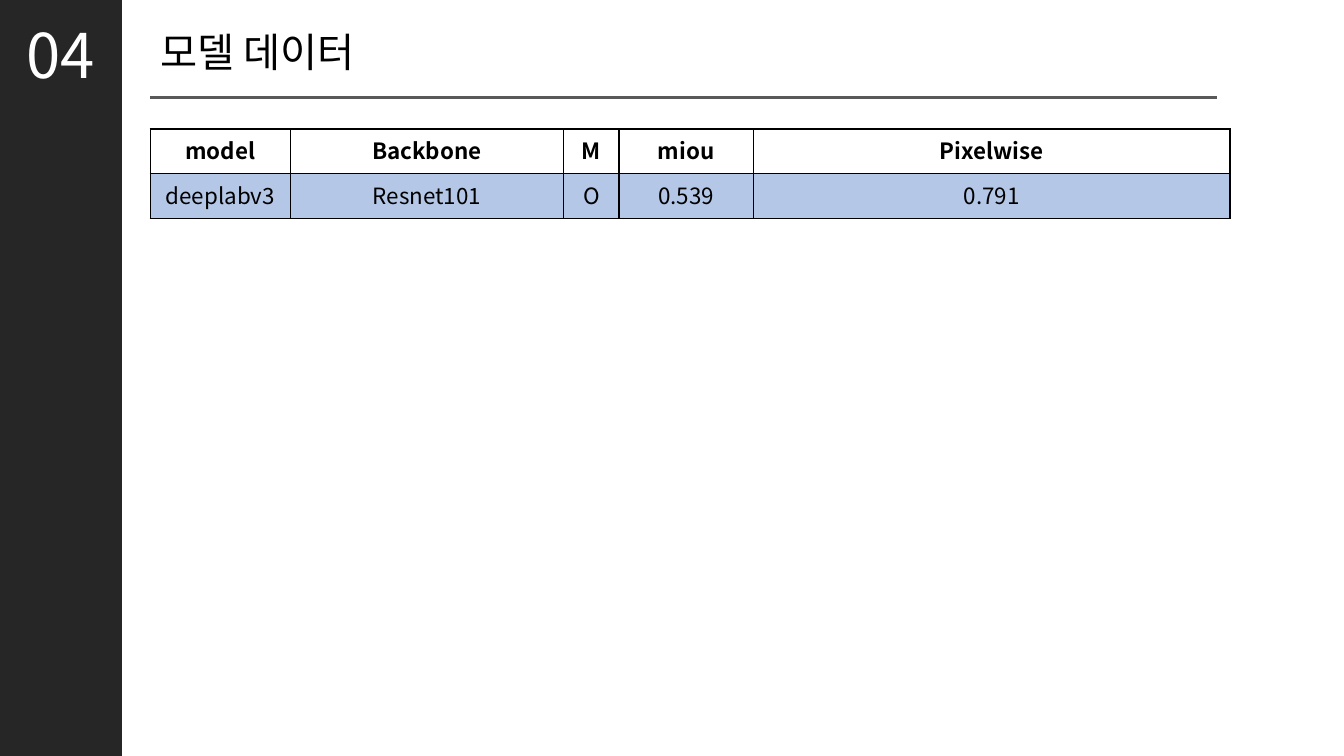
from dataclasses import dataclass
from lxml import etree
from pptx import Presentation, util as u
from pptx.dml.color import RGBColor
from pptx.enum import shapes, text
from pptx.oxml import ns


@dataclass(frozen=True)
class Theme:
    """Colours, type sizes and font of the slide."""
    font: str = "Noto Sans CJK KR"
    dark: str = "262626"
    rule: str = "595959"
    ink: str = "000000"
    white: str = "FFFFFF"
    band: str = "B4C7E7"
    title: float = 28.8
    number: float = 44
    cell: float = 16


THEME = Theme()
ROWS = [
    ["model", "Backbone", "M", "miou", "Pixelwise"],
    ["deeplabv3", "Resnet101", "O", "0.539", "0.791"],
]
WIDTHS = [1.39, 2.71, 0.55, 1.33, 4.73]


def paint(fill, color):
    """Give a fill one solid colour."""
    fill.solid()
    fill.fore_color.rgb = RGBColor.from_string(color)


def write(frame, words, size, color, align, bold=False):
    """Put one styled paragraph into a text frame."""
    frame.text = words
    para = frame.paragraphs[0]
    para.alignment = align
    font = para.font
    font.name, font.size, font.bold = THEME.font, u.Pt(size), bold
    font.color.rgb = RGBColor.from_string(color)
    props = para._p.pPr.find(ns.qn("a:defRPr"))
    etree.SubElement(props, ns.qn("a:ea"), typeface=THEME.font)
    return para


def edge(cell):
    """Draw a thin line on all four sides of a cell."""
    props = cell._tc.get_or_add_tcPr()
    for spot, side in enumerate(("lnL", "lnR", "lnT", "lnB")):
        line = etree.Element(ns.qn(f"a:{side}"), w=str(u.Pt(1)))
        fill = etree.SubElement(line, ns.qn("a:solidFill"))
        etree.SubElement(fill, ns.qn("a:srgbClr"), val=THEME.ink)
        props.insert(spot, line)


def add_side(slide, left, top, width, height):
    """Draw the dark side bar with the section number."""
    bar = slide.shapes.add_shape(
        shapes.MSO_SHAPE.RECTANGLE, *map(u.Inches, (left, top, width, height)))
    bar.shadow.inherit = False
    paint(bar.fill, THEME.dark)
    bar.line.fill.background()
    label = slide.shapes.add_textbox(
        *map(u.Inches, (left, top + 0.12, width, 0.86)))
    label.text_frame.word_wrap = True
    write(label.text_frame, "04", THEME.number, THEME.white,
          text.PP_ALIGN.CENTER)


def add_head(slide, left, top, width, height):
    """Place the title above the rule that closes the heading."""
    title = slide.shapes.title
    title.left, title.top, title.width, title.height = map(
        u.Inches, (left, top, 2.23, 0.33))
    frame = title.text_frame
    frame.auto_size = text.MSO_AUTO_SIZE.NONE
    frame.vertical_anchor = text.MSO_ANCHOR.MIDDLE
    para = write(frame, "모델 데이터", THEME.title, THEME.ink,
                 text.PP_ALIGN.LEFT)
    para.line_spacing = 0.9
    para.space_before = u.Pt(0)
    base = top + height
    rule = slide.shapes.add_connector(
        shapes.MSO_CONNECTOR.STRAIGHT,
        *map(u.Inches, (left, base, left + width, base)))
    rule.line.width = u.Pt(2.25)
    paint(rule.line.fill, THEME.rule)
    etree.SubElement(rule._element.spPr, ns.qn("a:effectLst"))


def add_grid(slide, left, top, width, height):
    """Build the model score table."""
    grid = slide.shapes.add_table(
        len(ROWS), len(WIDTHS),
        *map(u.Inches, (left, top, width, height))).table
    grid.horz_banding = False
    for col, span in zip(grid.columns, WIDTHS):
        col.width = u.Inches(span)
    for r, row in enumerate(ROWS):
        for c, words in enumerate(row):
            cell = grid.cell(r, c)
            paint(cell.fill, THEME.band if r else THEME.white)
            edge(cell)
            write(cell.text_frame, words, THEME.cell, THEME.ink,
                  text.PP_ALIGN.CENTER, bold=r == 0)


def main():
    """Build and save the slide."""
    deck = Presentation()
    deck.slide_width, deck.slide_height = u.Inches(13.33), u.Inches(7.5)
    slide = deck.slides.add_slide(deck.slide_layouts[5])
    add_side(slide, 0, 0, 1.21, 7.5)
    add_head(slide, 1.49, 0.38, 10.58, 0.59)
    add_grid(slide, 1.49, 1.28, sum(WIDTHS), 0.89)
    deck.save("out.pptx")


if __name__ == "__main__":
    main()
